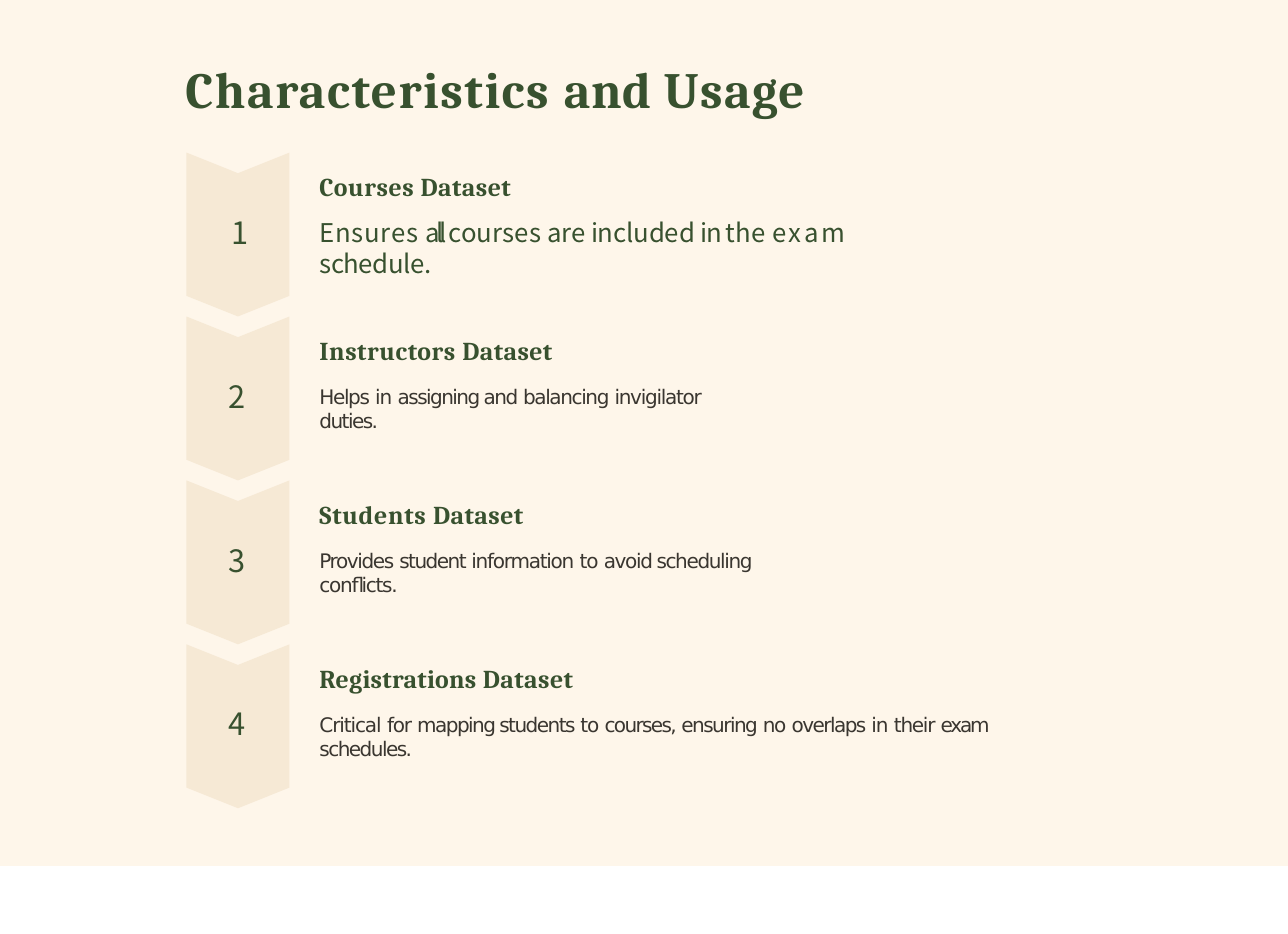
from pptx import Presentation
from pptx.dml.color import RGBColor
from pptx.enum import shapes, text
from pptx.oxml import ns
from pptx.util import Inches, Pt
from lxml import etree

GREEN = RGBColor(0x38, 0x51, 0x2F)
BROWN = RGBColor(0x3A, 0x36, 0x30)
CREAM = RGBColor(0xFE, 0xF5, 0xE7)
SAND = RGBColor(0xF6, 0xE9, 0xD5)

# Type styles: font, size, colour, bold
TITLE = ("Cambria", 35.5, GREEN, True)
HEADING = ("Cambria", 18, GREEN, True)
NUMBER = ("Noto Sans CJK SC", 21.5, GREEN, False)
LEAD = ("Noto Sans CJK SC", 18, GREEN, False)
BODY = ("DejaVu Sans", 14, BROWN, False)

STEP_TOP, STEP_PITCH = 1.48, 1.59
TEXT_LEFT = 3.09

# Each step: number tracking, text width, heading runs, description runs.
# A run is its words and its letter spacing in points.
STEPS = [
    (-3, 6.25, [("Courses ", 0.4), ("Dataset", 0.3)],
     [("Ensures ", 0.5), ("all ", -2.8), ("courses ", 0.1), ("are ", -0.2),
      ("included ", -0.1), ("in ", -1.1), ("the ", 0.1), ("exam ", 2),
      ("schedule.", -0.3)]),
    (0.8, 4.22, [("Instructors ", 0.4), ("Dataset", 0.3)],
     [("Helps ", -1), ("in ", -0.7), ("assigning and ", -1.1),
      ("balancing ", -1), ("invigilator ", -0.9), ("duties.", -1.1)]),
    (1.2, 4.9, [("Students ", 0.5), ("Dataset", 0.3)],
     [("Provides ", -1), ("student ", -1.1), ("information ", -0.9),
      ("to ", -0.8), ("avoid scheduling ", -1), ("conflicts.", -0.9)]),
    (0.9, 7.18, [("Registrations ", 0.2), ("Dataset", 0.3)],
     [("Critical ", -0.8), ("for ", -0.9), ("mapping students ", -1.1),
      ("to ", -0.8), ("courses, ", -1.2), ("ensuring ", -1.1), ("no ", -0.9),
      ("overlaps ", -1.1), ("in ", -0.7), ("their ", -0.9), ("exam ", -1.6),
      ("schedules.", -1.1)]),
]


def paint(shape, color):
    shape.shadow.inherit = False
    shape.fill.solid()
    shape.fill.fore_color.rgb = color
    shape.line.fill.background()


def add_panel(slide):
    panel = slide.shapes.add_shape(shapes.MSO_SHAPE.RECTANGLE, 0, 0,
                                   Inches(12.5), Inches(8.4))
    paint(panel, CREAM)
    color = panel.fill._xPr.find(".//" + ns.qn("a:srgbClr"))
    etree.SubElement(color, ns.qn("a:alpha"), val="85000")


def add_chevron(slide, top):
    left, middle, right = 1.81, 2.31, 2.81
    points = [(right, top), (middle, top + 0.2), (left, top),
              (left, top + 1.39), (middle, top + 1.59), (right, top + 1.39)]
    points = [(Inches(x), Inches(y)) for x, y in points]
    builder = slide.shapes.build_freeform(*points[0])
    builder.add_line_segments(points[1:], close=True)
    paint(builder.convert_to_shape(), SAND)


def add_text(slide, left, top, width, height, paragraphs, inset=0.01):
    """Each paragraph is (style, space before, tracked runs)."""
    box = slide.shapes.add_textbox(Inches(left), Inches(top),
                                   Inches(width), Inches(height))
    frame = box.text_frame
    frame.word_wrap = True
    frame.auto_size = text.MSO_AUTO_SIZE.NONE
    frame.margin_left = frame.margin_right = frame.margin_bottom = 0
    frame.margin_top = Inches(inset)
    for index, (style, space, runs) in enumerate(paragraphs):
        paragraph = frame.add_paragraph() if index else frame.paragraphs[0]
        paragraph.space_before = Pt(space)
        paragraph._p.get_or_add_pPr().set("marL", str(Inches(0.01)))
        for words, tracking in runs:
            run = paragraph.add_run()
            run.text = words
            font = run.font
            font.name, size, font.color.rgb, font.bold = style
            font.size = Pt(size)
            properties = run._r.get_or_add_rPr()
            properties.set("spc", str(round(tracking * 100)))
            # East Asian slot keeps the same typeface
            latin = properties.find(ns.qn("a:latin"))
            latin.addnext(etree.Element(ns.qn("a:ea"), typeface=style[0]))


def add_step(slide, index, tracking, width, heading, description):
    top = STEP_TOP + index * STEP_PITCH
    add_chevron(slide, top)
    left, number_width = (2.21, 0.19) if index else (2.24, 0.14)
    add_text(slide, left, top + 0.58, number_width, 0.39,
             [(NUMBER, 1, [(str(index + 1), tracking)])])
    title = (HEADING, 0.9, heading)
    if index == 0:
        # The first step has a larger description in a box of its own
        add_text(slide, TEXT_LEFT, top + 0.17, 1.96, 0.33, [title])
        add_text(slide, TEXT_LEFT, top + 0.61, width, 0.33,
                 [(LEAD, 0.9, description)])
    else:
        add_text(slide, TEXT_LEFT, top + 0.17, width, 0.74,
                 [title, (BODY, 13.1, description)])


def main():
    presentation = Presentation()
    presentation.slide_width = Inches(12.5)
    presentation.slide_height = Inches(9.06)
    slide = presentation.slides.add_slide(presentation.slide_layouts[6])

    # Background and title
    add_panel(slide)
    add_text(slide, 1.79, 0.54, 6.22, 0.62,
             [(TITLE, 1.3, [("Characteristics ", 1.1), ("and ", 0.4),
                            ("Usage", 0.9)])], inset=0.02)

    # Dataset steps
    for index, step in enumerate(STEPS):
        add_step(slide, index, *step)

    presentation.save("out.pptx")


if __name__ == "__main__":
    main()
